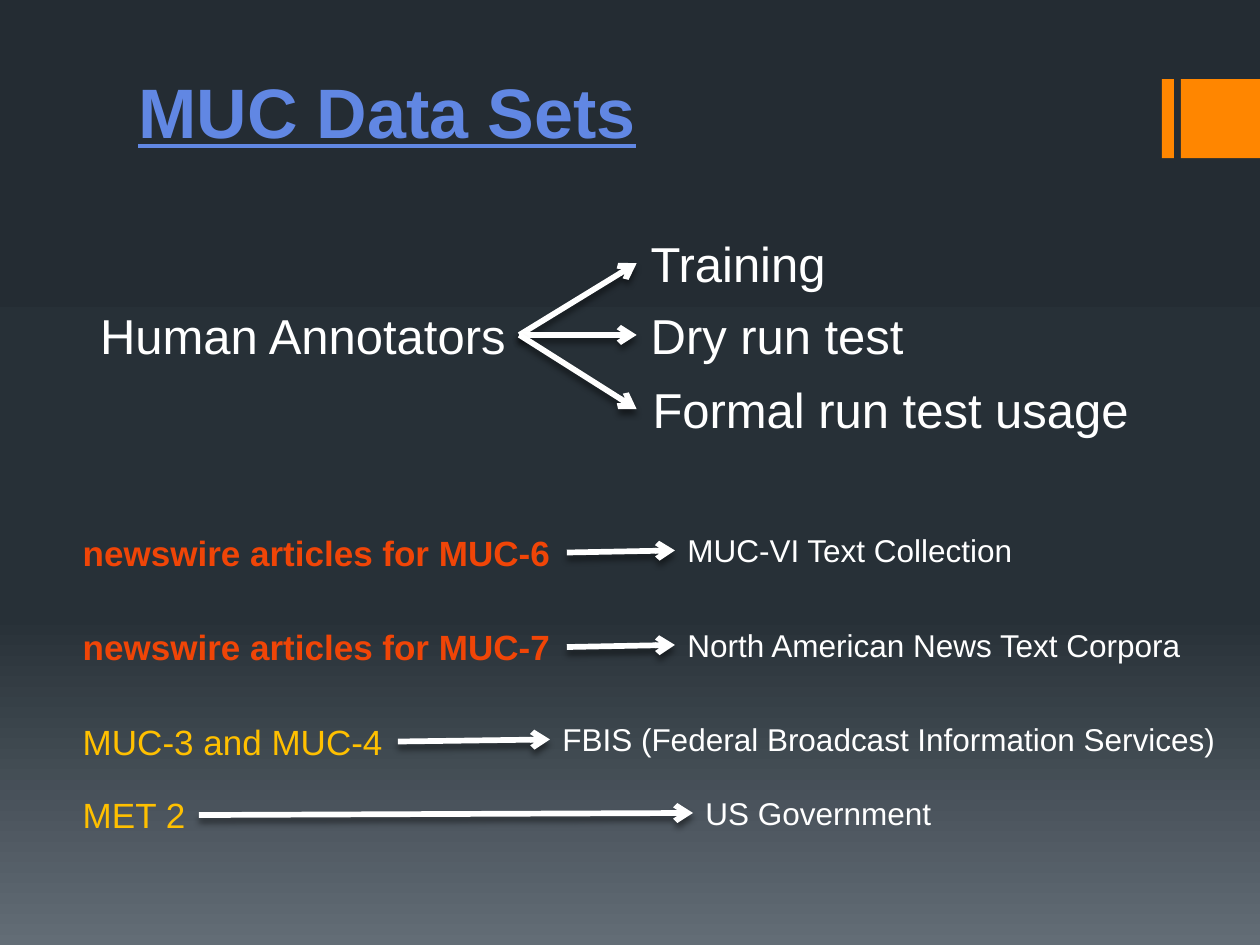
from copy import deepcopy

from lxml import etree
from pptx import Presentation
from pptx.dml.color import RGBColor
from pptx.enum.shapes import MSO_CONNECTOR, MSO_SHAPE
from pptx.enum.text import MSO_ANCHOR as ANCHOR, PP_ALIGN as ALIGN
from pptx.oxml import parse_xml
from pptx.oxml.ns import nsdecls, qn
from pptx.util import Pt

WHITE = RGBColor(0xFF, 0xFF, 0xFF)
ORANGE = RGBColor(0xFF, 0x86, 0x00)
BLUE = RGBColor(0x61, 0x87, 0xE3)
RED = RGBColor(0xF0, 0x45, 0x07)
GOLD = RGBColor(0xFF, 0xC0, 0x00)
BACKGROUND = [
    (0, RGBColor(0x24, 0x2C, 0x33)),
    (0.65, RGBColor(0x27, 0x30, 0x37)),
    (1, RGBColor(0x63, 0x6D, 0x76)),
]
SHADOW = (
    f'<a:effectLst {nsdecls("a")}><a:outerShdw blurRad="{Pt(3.8)}" dist="{Pt(3)}" '
    'dir="5400000" rotWithShape="0"><a:srgbClr val="000000">'
    '<a:alpha val="48000"/></a:srgbClr></a:outerShdw></a:effectLst>'
)

prs = Presentation()
prs.slide_width, prs.slide_height = Pt(720), Pt(540)
s = prs.slides.add_slide(prs.slide_layouts[6])


def add_text(text, x, y, w, h, size, color=WHITE, bold=False, align=ALIGN.LEFT, wrap=False):
    sp = s.shapes.add_textbox(Pt(x), Pt(y), Pt(w), Pt(h))
    tf = sp.text_frame
    tf.word_wrap = wrap
    p = tf.paragraphs[0]
    p.alignment = align
    r = p.add_run()
    r.text = text
    r.font.name, r.font.size, r.font.bold = "Arial", Pt(size), bold
    r.font.color.rgb = color
    return sp


def add_arrow(x1, y1, x2, y2):
    line = s.shapes.add_connector(MSO_CONNECTOR.STRAIGHT, Pt(x1), Pt(y1), Pt(x2), Pt(y2))
    line.line.color.rgb = WHITE
    line.line.width = Pt(3.25)
    etree.SubElement(line.line._get_or_add_ln(), qn("a:tailEnd"), type="arrow")
    line._element.spPr.append(parse_xml(SHADOW))


# Background gradient, dark at the top
fill = s.background.fill
fill.gradient()
fill.gradient_angle = 270
first_stop = s.element.xpath(".//a:gs")[0]
first_stop.addnext(deepcopy(first_stop))
for stop, (position, color) in zip(fill.gradient_stops, BACKGROUND):
    stop.position = position
    stop.color.rgb = color

# Orange corner bars
for x, w in [(664, 6.8), (674.8, 45.2)]:
    bar = s.shapes.add_shape(MSO_SHAPE.RECTANGLE, Pt(x), Pt(45.2), Pt(w), Pt(45.2))
    bar.shadow.inherit = False
    bar.fill.solid()
    bar.fill.fore_color.rgb = ORANGE
    bar.line.fill.background()

title = add_text("MUC Data Sets", 72, 0, 576, 90.7, 40, BLUE, bold=True, wrap=True)
title.text_frame.vertical_anchor = ANCHOR.BOTTOM
title.text_frame.paragraphs[0].runs[0].font.underline = True

# Annotators fan out to three uses
FAN_X, FAN_Y, USE_X = 296.8, 191.4, 363.8
add_text("Human Annotators", 49.2, 170.8, 247.6, 41.2, 28, align=ALIGN.CENTER)
uses = [
    ("Training", 129.6, 115.9, 150.4),
    ("Dry run test", 170.8, 160.6, 191.4),
    ("Formal run test usage", 213.1, 290.2, 233.8),
]
for text, y, w, arrow_y in uses:
    add_text(text, USE_X, y, w, 41.2, 28, align=ALIGN.CENTER)
    add_arrow(FAN_X, FAN_Y, USE_X, arrow_y)

# Each data set points to its source: label, width, colour, bold, source, x, width, top
LABEL_X, LABEL_H, SOURCE_H = 40.2, 31.5, 29.1
data_sets = [
    ("newswire articles for MUC-6", 283.7, RED, True, "MUC-VI Text Collection", 385.7, 202.3, 300),
    ("newswire articles for MUC-7", 283.7, RED, True,
     "North American News Text Corpora", 385.7, 298.8, 354),
    ("MUC-3 and MUC-4", 187.2, GOLD, False,
     "FBIS (Federal Broadcast Information Services)", 314.3, 405.7, 408),
    ("MET 2", 73.4, GOLD, False, "US Government", 396, 144.7, 450),
]
for label, label_w, color, bold, source, x, w, y in data_sets:
    add_text(label, LABEL_X, y, label_w, LABEL_H, 20, color, bold)
    add_text(source, x, y, w, SOURCE_H, 18)
    add_arrow(LABEL_X + label_w, y + LABEL_H / 2, x, y + SOURCE_H / 2)

prs.save("out.pptx")
